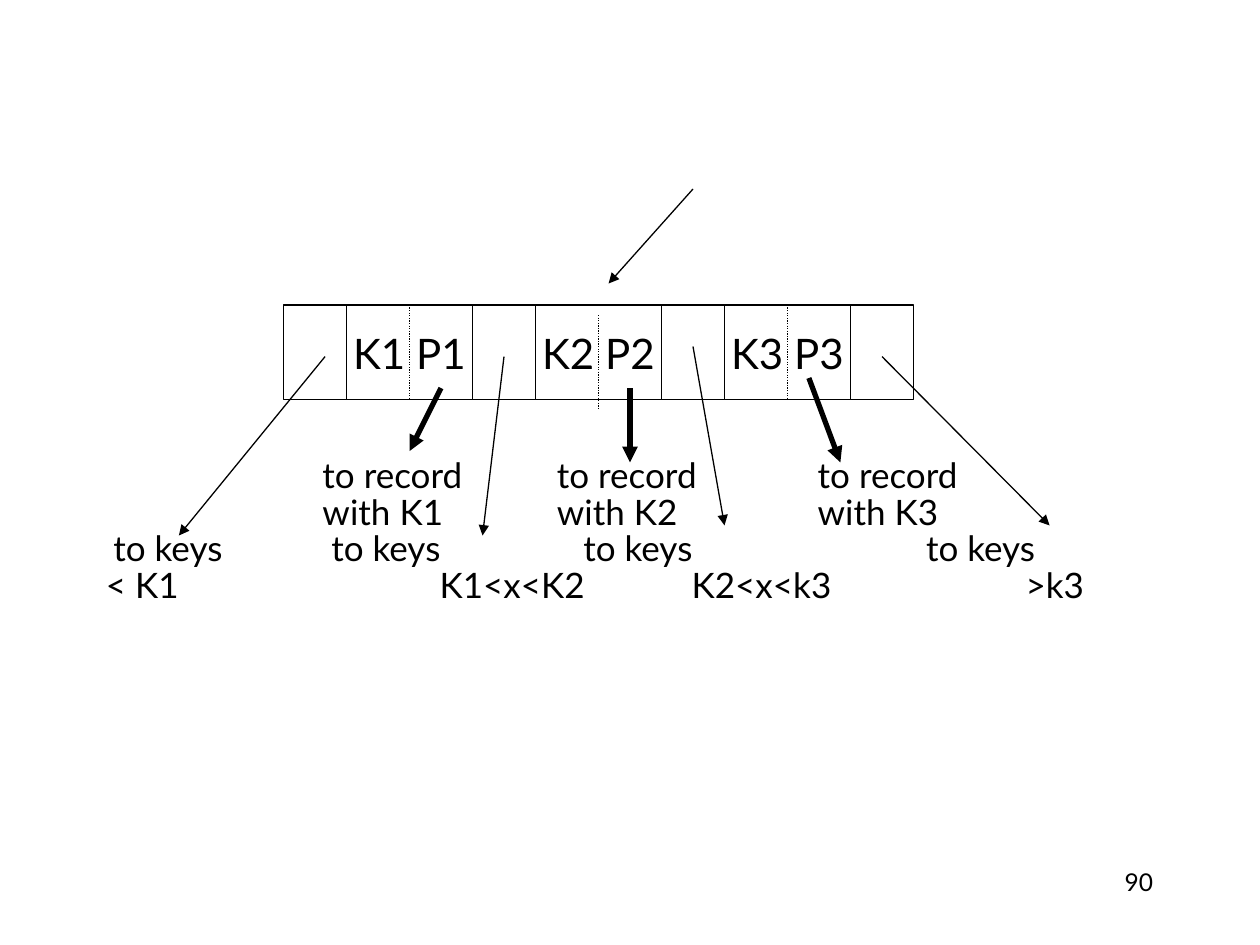
from dataclasses import dataclass

from lxml import etree
from pptx import Presentation
from pptx import util as u
from pptx.dml.color import RGBColor
from pptx.enum import dml, shapes, text
from pptx.oxml import ns


@dataclass(frozen=True)
class Theme:
    font: str = "Lato"
    ink: RGBColor = RGBColor(0, 0, 0)
    paper: RGBColor = RGBColor(255, 255, 255)
    key_size: int = 24
    label_size: int = 20
    number_size: int = 14
    label_pitch: int = 21
    thin: float = 0.75
    thick: float = 3


theme = Theme()
presentation = Presentation()
presentation.slide_width = u.Inches(10)
presentation.slide_height = u.Inches(7.5)
slide = presentation.slides.add_slide(presentation.slide_layouts[6])


def write(frame, lines, size, align=text.PP_ALIGN.LEFT, pitch=None, indents=None):
    """Fill a text frame with one paragraph per line."""
    for index, line in enumerate(lines):
        paragraph = frame.paragraphs[0] if index == 0 else frame.add_paragraph()
        paragraph.alignment = align
        if pitch:
            paragraph.line_spacing = u.Pt(pitch)
        if indents:
            properties = paragraph._p.get_or_add_pPr()
            properties.set("marL", str(u.Inches(indents[index])))
            properties.set("indent", "0")
        run = paragraph.add_run()
        run.text = line
        run.font.name = theme.font
        run.font.size = u.Pt(size)
        run.font.color.rgb = theme.ink


def connect(start, end, width=theme.thin, arrow=True):
    """Draw a solid arrow, or a dotted line without a head."""
    connector = slide.shapes.add_connector(
        shapes.MSO_CONNECTOR.STRAIGHT, *map(u.Inches, start + end))
    connector.line.color.rgb = theme.ink
    connector.line.width = u.Pt(width)
    if arrow:
        head = etree.SubElement(connector.line._get_or_add_ln(), ns.qn("a:tailEnd"))
        head.set("type", "triangle")
    else:
        connector.line.dash_style = dml.MSO_LINE.ROUND_DOT
    etree.SubElement(connector._element.spPr, ns.qn("a:effectLst"))


# Node cells: child pointers alternate with key and record pointer pairs
node_top, node_height, pointer_width, pair_width = 2.42, 0.75, 0.5, 1
left = 2.25
for caption in ("", "K1 P1", "", "K2 P2", "", "K3 P3", ""):
    width = pair_width if caption else pointer_width
    cell = slide.shapes.add_shape(
        shapes.MSO_SHAPE.RECTANGLE, u.Inches(left), u.Inches(node_top),
        u.Inches(width), u.Inches(node_height))
    cell.shadow.inherit = False
    cell.fill.solid()
    cell.fill.fore_color.rgb = theme.paper
    cell.line.color.rgb = theme.ink
    cell.line.width = u.Pt(theme.thin)
    if caption:
        cell.text_frame.word_wrap = False
        cell.text_frame.vertical_anchor = text.MSO_ANCHOR.MIDDLE
        write(cell.text_frame, [caption], theme.key_size, align=text.PP_ALIGN.CENTER)
    left += width

# Dotted dividers between key and record pointer
for x, top in ((3.25, node_top), (6.25, node_top), (4.75, 2.5)):
    connect((x, top), (x, top + node_height), arrow=False)

# Arrows to the records
for start, end in (((3.5, 3.08), (3.25, 3.58)),
                   ((5, 3.08), (5, 3.67)),
                   ((6.42, 3), (6.67, 3.67))):
    connect(start, end, width=theme.thick)

# Arrows to the child nodes, then the one from the parent
for start, end in (((2.58, 2.83), (1.42, 4.25)),
                   ((4, 2.83), (3.83, 4.25)),
                   ((5.5, 2.75), (5.75, 4.17)),
                   ((7, 2.83), (8.33, 4.17)),
                   ((5.5, 1.5), (4.83, 2.25))):
    connect(start, end)

# Labels: left edge, top, lines, indent of each line
record_top, child_top = 3.64, 4.22
labels = [(x, record_top, ("to record", f"with K{number}"), (0, 0))
          for number, x in enumerate((2.56, 4.42, 6.49), start=1)]
labels += [
    (0.84, child_top, ("to keys", "< K1"), (0.06, 0)),
    (2.63, child_top, ("to keys", "K1<x<K2"), (0, 0.86)),
    (4.63, child_top, ("to keys", "K2<x<k3"), (0, 0.86)),
    (7.35, child_top, ("to keys", ">k3"), (0, 0.79)),
]
for x, top, lines, indents in labels:
    box = slide.shapes.add_textbox(
        u.Inches(x), u.Inches(top), u.Inches(2.2), u.Inches(0.6))
    frame = box.text_frame
    frame.word_wrap = True
    frame.margin_left = frame.margin_right = frame.margin_top = frame.margin_bottom = 0
    write(frame, lines, theme.label_size, pitch=theme.label_pitch, indents=indents)

# Slide number
number_box = slide.shapes.add_textbox(
    u.Inches(7.17), u.Inches(6.83), u.Inches(2.08), u.Inches(0.5))
number_box.text_frame.word_wrap = True
write(number_box.text_frame, ["90"], theme.number_size, align=text.PP_ALIGN.RIGHT)

presentation.save("out.pptx")
